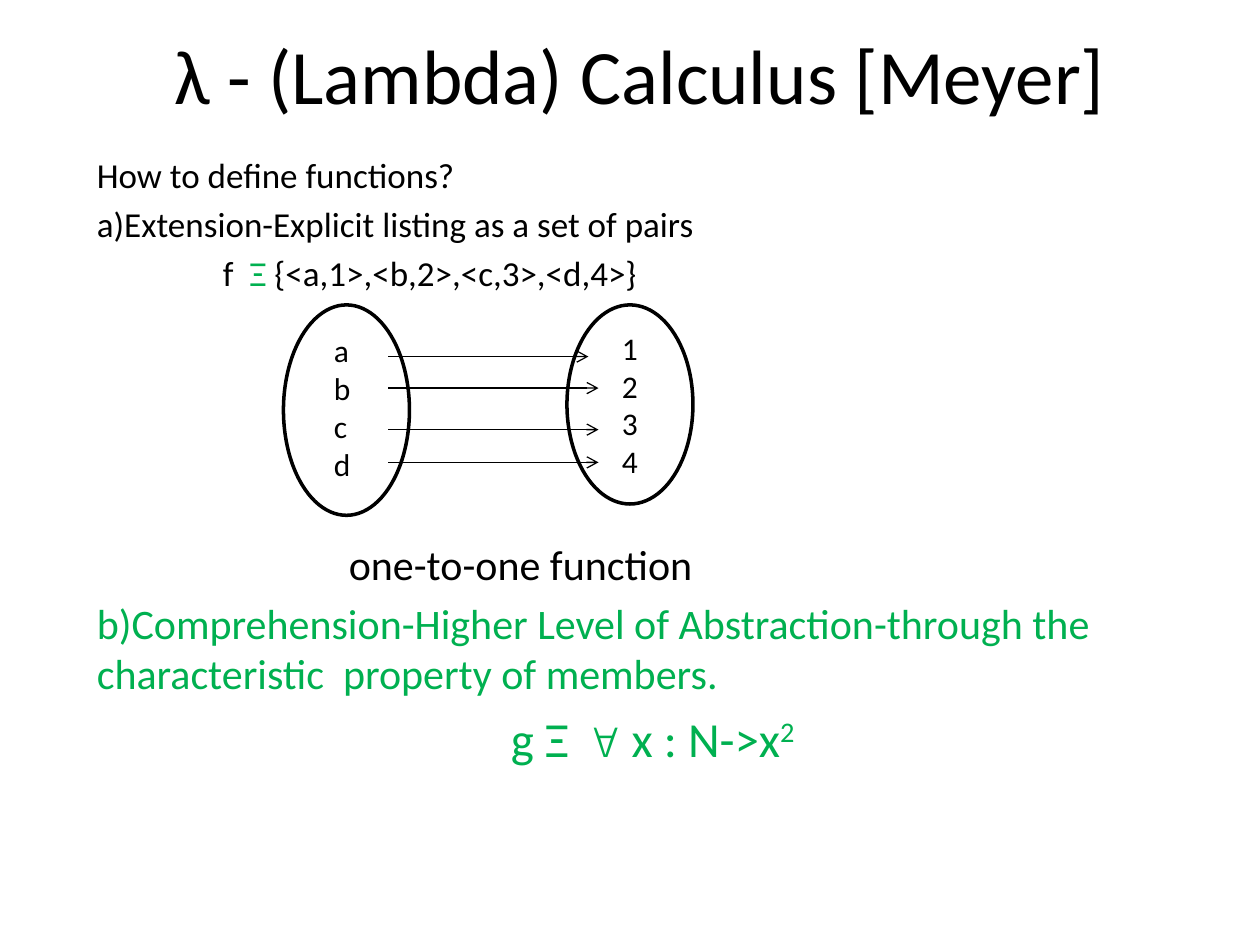
from lxml.etree import SubElement
from pptx import Presentation
from pptx.dml.color import RGBColor
from pptx.enum.shapes import MSO_CONNECTOR, MSO_SHAPE
from pptx.enum.text import MSO_ANCHOR, PP_ALIGN
from pptx.oxml.ns import qn
from pptx.util import Inches, Pt

HUES = {"ink": "000000", "paper": "FFFFFF", "green": "00B050"}
MID = {"alignment": PP_ALIGN.CENTER}


class Deck:
    def __init__(self, font="Calibri"):
        self.font = font
        self.prs = Presentation()
        self.prs.slide_width, self.prs.slide_height = Inches(10), Inches(7.5)
        self.slide = self.prs.slides.add_slide(self.prs.slide_layouts[6])

    def hue(self, name):
        return RGBColor.from_string(HUES[name])

    def apply(self, item, form):
        for key, value in form.items():
            setattr(item, key, value)

    def para(self, frame, runs, size, form=None, left=0):
        fresh = len(frame.paragraphs) == 1 and not frame.paragraphs[0].runs
        para = frame.paragraphs[0] if fresh else frame.add_paragraph()
        self.apply(para, form or {})
        if left:
            para._p.get_or_add_pPr().set("marL", str(Inches(left)))
        for text, color, *extra in runs:
            run = para.add_run()
            run.text = text
            self.apply(run.font, {"name": self.font, "size": Pt(size)})
            self.apply(run.font, extra[0] if extra else {})
            run.font.color.rgb = self.hue(color)
        return para

    def box(self, x, y, w, h, form=None):
        frame = self.slide.shapes.add_textbox(*map(Inches, (x, y, w, h))).text_frame
        self.apply(frame, {"word_wrap": True, **(form or {})})
        return frame

    def oval(self, x, y, w, h):
        oval = self.slide.shapes.add_shape(MSO_SHAPE.OVAL, *map(Inches, (x, y, w, h)))
        oval.shadow.inherit = False
        oval.fill.solid()
        oval.fill.fore_color.rgb = self.hue("paper")
        oval.line.color.rgb = self.hue("ink")
        oval.line.width = Pt(2)
        oval.text_frame.vertical_anchor = MSO_ANCHOR.MIDDLE
        return oval.text_frame

    def arrow(self, x, end, y):
        ends = map(Inches, (x, y, end, y))
        arrow = self.slide.shapes.add_connector(MSO_CONNECTOR.STRAIGHT, *ends)
        arrow.line.color.rgb = self.hue("ink")
        arrow.line.width = Pt(0.75)
        SubElement(arrow.line._get_or_add_ln(), qn("a:tailEnd"), type="arrow")
        SubElement(arrow._element.spPr, qn("a:effectLst"))


def main():
    deck = Deck()
    title = deck.box(0.83, 0.17, 8.5, 0.83, {"vertical_anchor": MSO_ANCHOR.MIDDLE})
    deck.para(title, [("λ - (Lambda) Calculus [Meyer]", "ink")], 44, MID)

    body = deck.box(0.67, 1.17, 8.67, 6.08)
    gap = {"space_before": Pt(4)}
    for text in ("How to define functions?",
                 "a)Extension-Explicit listing as a set of pairs"):
        deck.para(body, [(text, "ink")], 20, gap)
    pairs = [("f  ", "ink"), ("Ξ ", "green"), ("{<a,1>,<b,2>,<c,3>,<d,4>}", "ink")]
    deck.para(body, pairs, 20, gap, 1)
    deck.para(body, [("one-to-one function", "ink")], 24, {"space_before": Pt(140)}, 2)
    deck.para(body, [("b)Comprehension-Higher Level of Abstraction-through the "
                      "characteristic  property of members.", "green")],
              24, {"space_before": Pt(4.8)})
    rule = [("g Ξ  ", "green"), ("∀", "green", {"name": "Courier New"}),
            (" x : N->x", "green"), ("2", "green")]
    last = deck.para(body, rule, 28, {**MID, "space_before": Pt(5.6)}, 0.35)
    last.runs[-1].font._element.set("baseline", "30000")

    deck.oval(2.25, 2.42, 1, 1.67)
    names = deck.box(2.5, 2.58, 0.5, 1.31, {"margin_left": Inches(0.15)})
    counts = deck.oval(4.5, 2.42, 1, 1.58)
    for name, count in zip("abcd", "1234"):
        deck.para(names, [(name, "ink")], 18)
        deck.para(counts, [(count, "ink")], 18, MID)

    for end, y in ((4.67, 2.83), (4.75, 3.08), (4.75, 3.41), (4.75, 3.67)):
        deck.arrow(3.08, end, y)

    deck.prs.save("out.pptx")


if __name__ == "__main__":
    main()
